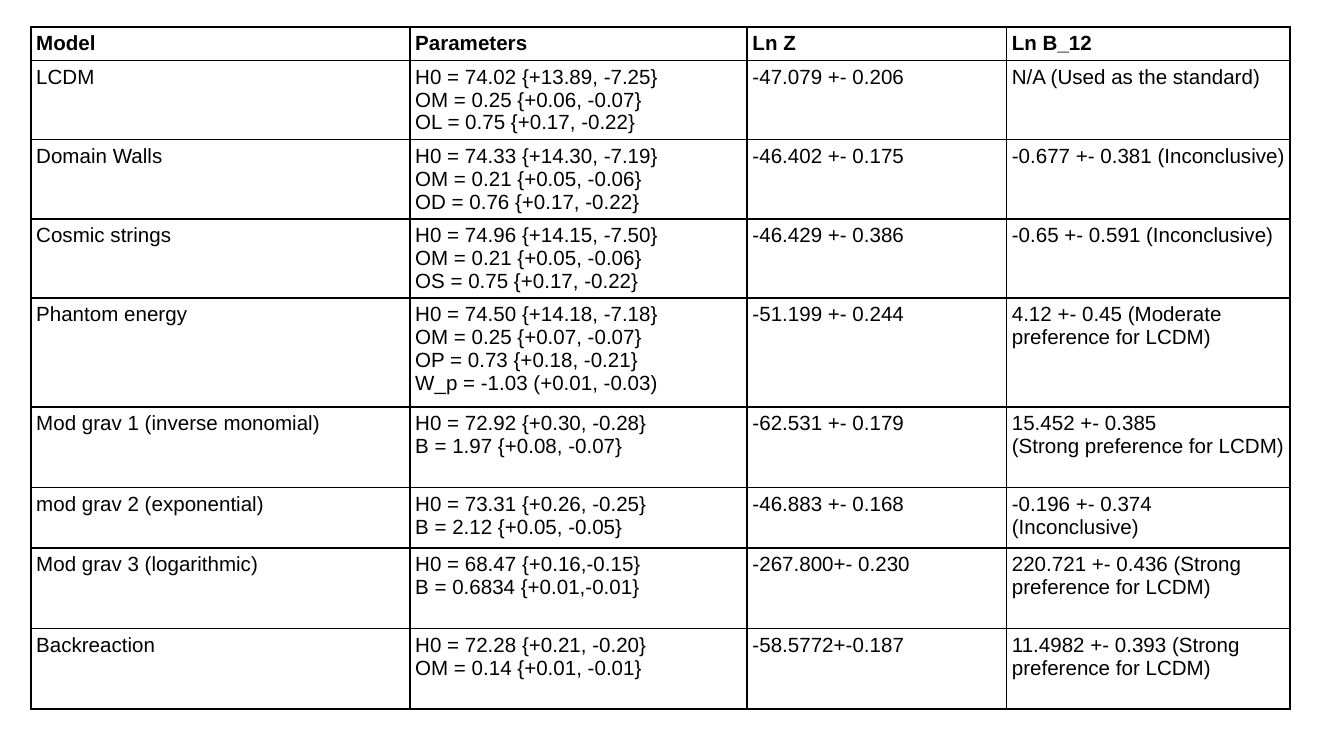
from dataclasses import dataclass

import lxml.etree
import pptx
import pptx.dml.color
import pptx.oxml.ns
import pptx.util

Inches = pptx.util.Inches
COLORS = {"ink": "000000"}
FONT = {"name": "Arial", "size": pptx.util.Pt(11)}
MARGINS = {
    "margin_left": pptx.util.Mm(1),
    "margin_right": Inches(0.03),
    "margin_top": pptx.util.Mm(1),
    "margin_bottom": pptx.util.Mm(1),
}
COLUMN_WIDTHS = (2.82, 2.51, 1.93, 2.11)
HEADER_HEIGHT = 0.21
HEADERS = ("Model", "Parameters", "Ln Z", "Ln B_12")


@dataclass(frozen=True)
class ModelResult:
    height: float
    model: str
    parameters: str
    evidence: str
    bayes_factor: str

    def texts(self) -> tuple[str, ...]:
        return self.model, self.parameters, self.evidence, self.bayes_factor


RESULTS = (
    ModelResult(0.57, "LCDM",
                "H0 = 74.02 {+13.89, -7.25}\nOM = 0.25 {+0.06, -0.07}\nOL = 0.75 {+0.17, -0.22}",
                "-47.079 +- 0.206", "N/A (Used as the standard)"),
    ModelResult(0.57, "Domain Walls",
                "H0 = 74.33 {+14.30, -7.19}\nOM = 0.21 {+0.05, -0.06}\nOD = 0.76 {+0.17, -0.22}",
                "-46.402 +- 0.175", "-0.677 +- 0.381 (Inconclusive)"),
    ModelResult(0.57, "Cosmic strings",
                "H0 = 74.96 {+14.15, -7.50}\nOM = 0.21 {+0.05, -0.06}\nOS = 0.75 {+0.17, -0.22}",
                "-46.429 +- 0.386", "-0.65 +- 0.591 (Inconclusive)"),
    ModelResult(0.81, "Phantom energy",
                "H0 = 74.50 {+14.18, -7.18}\nOM = 0.25 {+0.07, -0.07}\n"
                "OP = 0.73 {+0.18, -0.21}\nW_p = -1.03 (+0.01, -0.03)",
                "-51.199 +- 0.244", "4.12 +- 0.45 (Moderate preference for LCDM)"),
    ModelResult(0.6, "Mod grav 1 (inverse monomial)",
                "H0 = 72.92 {+0.30, -0.28}\nB = 1.97 {+0.08, -0.07}",
                "-62.531 +- 0.179", "15.452 +- 0.385\n(Strong preference for LCDM)"),
    ModelResult(0.45, "mod grav 2 (exponential)",
                "H0 = 73.31 {+0.26, -0.25}\nB = 2.12 {+0.05, -0.05}",
                "-46.883 +- 0.168", "-0.196 +- 0.374\n(Inconclusive)"),
    ModelResult(0.6, "Mod grav 3 (logarithmic)",
                "H0 = 68.47 {+0.16,-0.15}\nB = 0.6834 {+0.01,-0.01}",
                "-267.800+- 0.230", "220.721 +- 0.436 (Strong preference for LCDM)"),
    ModelResult(0.6, "Backreaction",
                "H0 = 72.28 {+0.21, -0.20}\nOM = 0.14 {+0.01, -0.01}",
                "-58.5772+-0.187", "11.4982 +- 0.393 (Strong preference for LCDM)"),
)


def add_borders(cell) -> None:
    """Draw all four sides; the lines must precede the fill in the XML."""
    qn = pptx.oxml.ns.qn
    properties = cell._tc.get_or_add_tcPr()
    for position, side in enumerate(("a:lnL", "a:lnR", "a:lnT", "a:lnB")):
        line = lxml.etree.Element(qn(side), w=str(pptx.util.Pt(1)))
        fill = lxml.etree.SubElement(line, qn("a:solidFill"))
        lxml.etree.SubElement(fill, qn("a:srgbClr"), val=COLORS["ink"])
        properties.insert(position, line)


def fill_cell(cell, text: str, bold: bool) -> None:
    cell.text_frame.text = text
    for name, value in MARGINS.items():
        setattr(cell, name, value)
    for paragraph in cell.text_frame.paragraphs:
        for run in paragraph.runs:
            for name, value in {**FONT, "bold": bold}.items():
                setattr(run.font, name, value)
            run.font.color.rgb = pptx.dml.color.RGBColor.from_string(COLORS["ink"])
    cell.fill.background()
    add_borders(cell)


def add_results_table(slide) -> None:
    rows = [HEADERS] + [result.texts() for result in RESULTS]
    heights = [HEADER_HEIGHT] + [result.height for result in RESULTS]
    table = slide.shapes.add_table(
        len(rows), len(HEADERS), Inches(0.23), Inches(0.2),
        Inches(sum(COLUMN_WIDTHS)), Inches(sum(heights))).table
    table.first_row = False
    table.horz_banding = False
    for column, width in zip(table.columns, COLUMN_WIDTHS):
        column.width = Inches(width)
    for index, (row, height, texts) in enumerate(zip(table.rows, heights, rows)):
        row.height = Inches(height)
        for cell, text in zip(row.cells, texts):
            fill_cell(cell, text, bold=index == 0)


def main() -> None:
    presentation = pptx.Presentation()
    presentation.slide_width = Inches(10)
    presentation.slide_height = presentation.slide_width * 9 // 16
    add_results_table(presentation.slides.add_slide(presentation.slide_layouts[6]))
    presentation.save("out.pptx")


if __name__ == "__main__":
    main()
